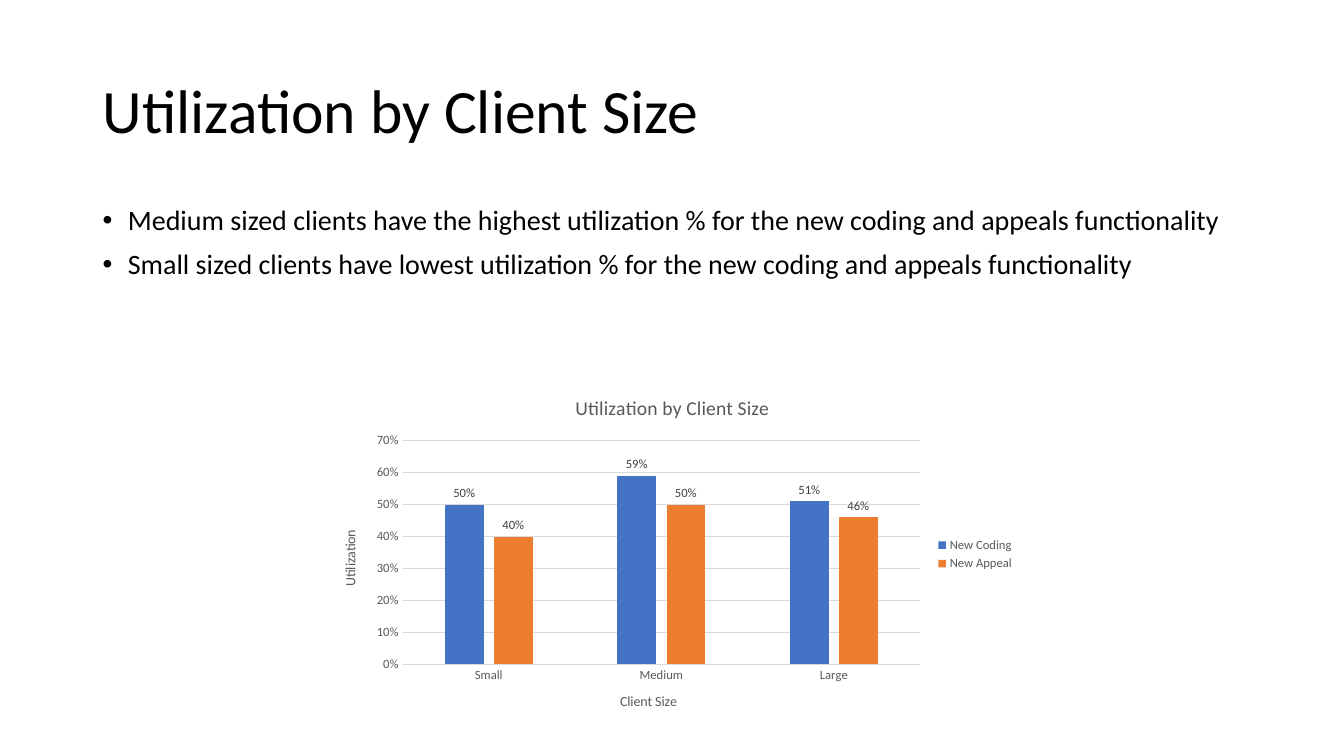
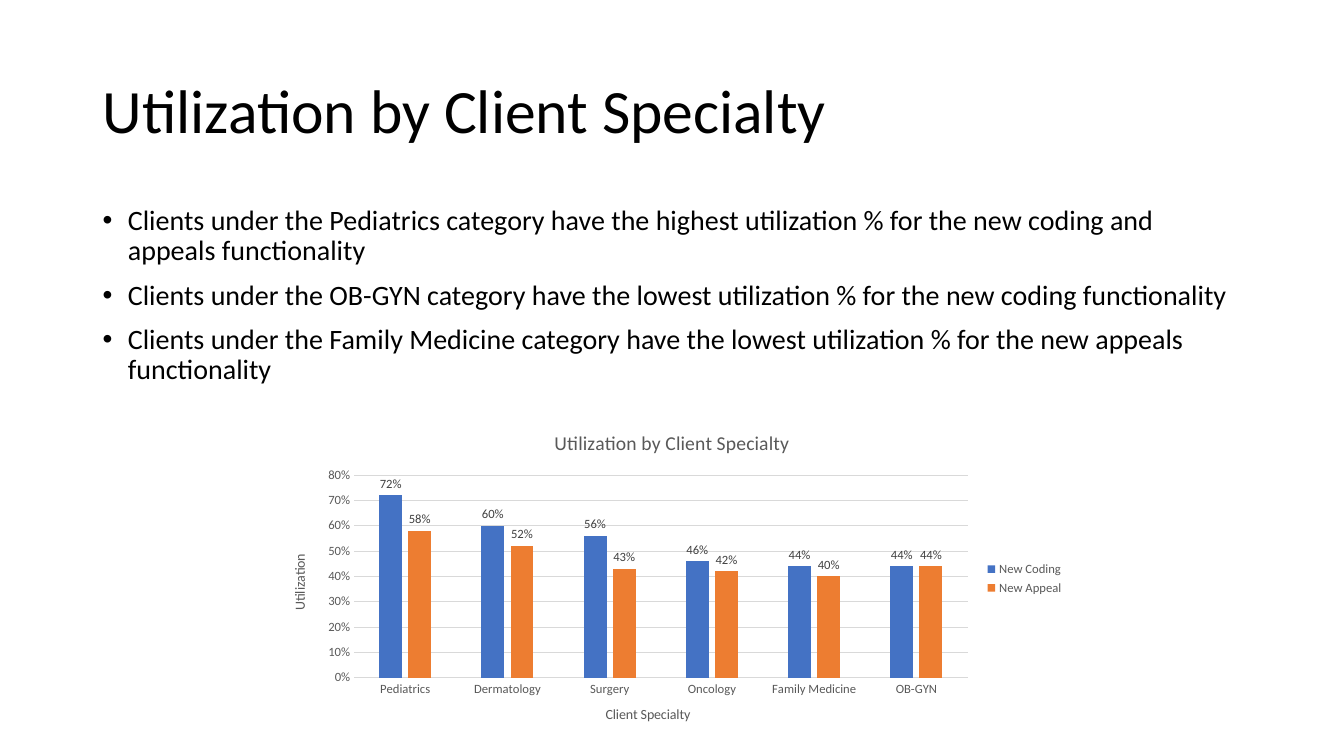
from pptx import Presentation
from pptx.chart.data import CategoryChartData
from pptx.dml.color import RGBColor
from pptx.enum.chart import XL_CHART_TYPE as ChartType
from pptx.enum.chart import XL_LABEL_POSITION as LabelPosition
from pptx.enum.chart import XL_LEGEND_POSITION as LegendPosition
from pptx.enum.chart import XL_TICK_MARK as TickMark
from pptx.enum.text import MSO_ANCHOR, MSO_AUTO_SIZE, PP_ALIGN
from pptx.oxml.ns import qn
from pptx.util import Inches, Pt
from lxml import etree

# Shared style
FONT = "Calibri"
COLORS = {
    "text": "000000",
    "chart_text": "595959",
    "label": "404040",
    "grid": "D9D9D9",
    "New Coding": "4472C4",
    "New Appeal": "ED7D31",
}
TITLE_BOX = [Inches(n) for n in (0.92, 0.4, 11.5, 1.45)]
BODY_BOX = [Inches(n) for n in (0.92, 2, 11.5, 4.76)]
TITLE_ONLY = 5

# Slide content
SLIDES = [
    {
        "topic": "Client Size",
        "bullets": [
            "Medium sized clients have the highest utilization % for the new coding and appeals functionality",
            "Small sized clients have lowest utilization % for the new coding and appeals functionality",
        ],
        "chart_box": (3.18, 3.75, 6.98, 3.5),
        "categories": ["Small", "Medium", "Large"],
        "series": {"New Coding": (0.5, 0.59, 0.51), "New Appeal": (0.4, 0.5, 0.46)},
        "maximum": 0.7,
    },
    {
        "topic": "Client Specialty",
        "bullets": [
            "Clients under the Pediatrics category have the highest utilization % for the new coding and appeals functionality",
            "Clients under the OB-GYN category have the lowest utilization % for the new coding functionality",
            "Clients under the Family Medicine category have the lowest utilization % for the new appeals functionality",
        ],
        "chart_box": (2.68, 4.1, 7.97, 3.28),
        "categories": ["Pediatrics", "Dermatology", "Surgery", "Oncology", "Family Medicine", "OB-GYN"],
        "series": {
            "New Coding": (0.72, 0.6, 0.56, 0.46, 0.44, 0.44),
            "New Appeal": (0.58, 0.52, 0.43, 0.42, 0.4, 0.44),
        },
        "maximum": 0.8,
    },
]


def style_font(font, size, color):
    for name, value in {"name": FONT, "size": Pt(size), "bold": False}.items():
        setattr(font, name, value)
    font.color.rgb = RGBColor.from_string(COLORS[color])


def write_text(text_frame, lines, size, color):
    text_frame.text = "\n".join(lines)
    for paragraph in text_frame.paragraphs:
        style_font(paragraph.runs[0].font, size, color)


presentation = Presentation()
presentation.slide_width = Inches(13.33)
presentation.slide_height = Inches(7.5)

for content in SLIDES:
    slide = presentation.slides.add_slide(presentation.slide_layouts[TITLE_ONLY])
    heading = f"Utilization by {content['topic']}"

    # Title
    title = slide.shapes.title
    title.left, title.top, title.width, title.height = TITLE_BOX
    write_text(title.text_frame, [heading], 44, "text")
    title.text_frame.vertical_anchor = MSO_ANCHOR.MIDDLE
    title.text_frame.auto_size = MSO_AUTO_SIZE.NONE
    title.text_frame.paragraphs[0].alignment = PP_ALIGN.LEFT
    title.text_frame.paragraphs[0].line_spacing = 0.9

    # Bullets
    body = slide.shapes.add_textbox(*BODY_BOX).text_frame
    body.word_wrap = True
    write_text(body, content["bullets"], 20, "text")
    for paragraph in body.paragraphs:
        paragraph.line_spacing = 0.9
        paragraph.space_before = Pt(10)
        properties = paragraph._p.get_or_add_pPr()
        properties.set("marL", str(Inches(0.25)))
        properties.set("indent", str(Inches(-0.25)))
        etree.SubElement(properties, qn("a:buFont")).set("typeface", "Arial")
        etree.SubElement(properties, qn("a:buChar")).set("char", "•")

    # Chart
    data = CategoryChartData(number_format="0%")
    data.categories = content["categories"]
    for name, values in content["series"].items():
        data.add_series(name, values)
    chart_box = [Inches(n) for n in content["chart_box"]]
    chart = slide.shapes.add_chart(ChartType.COLUMN_CLUSTERED, *chart_box, data).chart
    style_font(chart.font, 10, "text")
    chart.has_title = True
    write_text(chart.chart_title.text_frame, [heading], 14, "chart_text")
    chart.chart_title.include_in_layout = False

    # Legend
    chart.has_legend = True
    chart.legend.position = LegendPosition.RIGHT
    chart.legend.include_in_layout = False
    style_font(chart.legend.font, 9, "chart_text")

    # Axes
    for axis, axis_title in ((chart.category_axis, content["topic"]), (chart.value_axis, "Utilization")):
        axis.major_tick_mark = axis.minor_tick_mark = TickMark.NONE
        style_font(axis.tick_labels.font, 9, "chart_text")
        write_text(axis.axis_title.text_frame, [axis_title], 10, "chart_text")
    value_axis = chart.value_axis
    value_axis.minimum_scale = 0
    value_axis.maximum_scale = content["maximum"]
    value_axis.major_unit = 0.1
    value_axis.tick_labels.number_format = "0%"
    value_axis.tick_labels.number_format_is_linked = False
    value_axis.format.line.fill.background()
    for line in (chart.category_axis.format.line, value_axis.major_gridlines.format.line):
        line.color.rgb = RGBColor.from_string(COLORS["grid"])
        line.width = Pt(0.75)

    # Columns and their labels
    plot = chart.plots[0]
    plot.gap_width = 219
    plot.overlap = -27
    plot.vary_by_categories = False
    for series in plot.series:
        series.format.fill.solid()
        series.format.fill.fore_color.rgb = RGBColor.from_string(COLORS[series.name])
        series.invert_if_negative = False
        labels = series.data_labels
        label_format = {
            "show_value": True,
            "position": LabelPosition.OUTSIDE_END,
            "number_format": "0%",
            "number_format_is_linked": False,
        }
        for name, value in label_format.items():
            setattr(labels, name, value)
        style_font(labels.font, 9, "label")

presentation.save("out.pptx")
